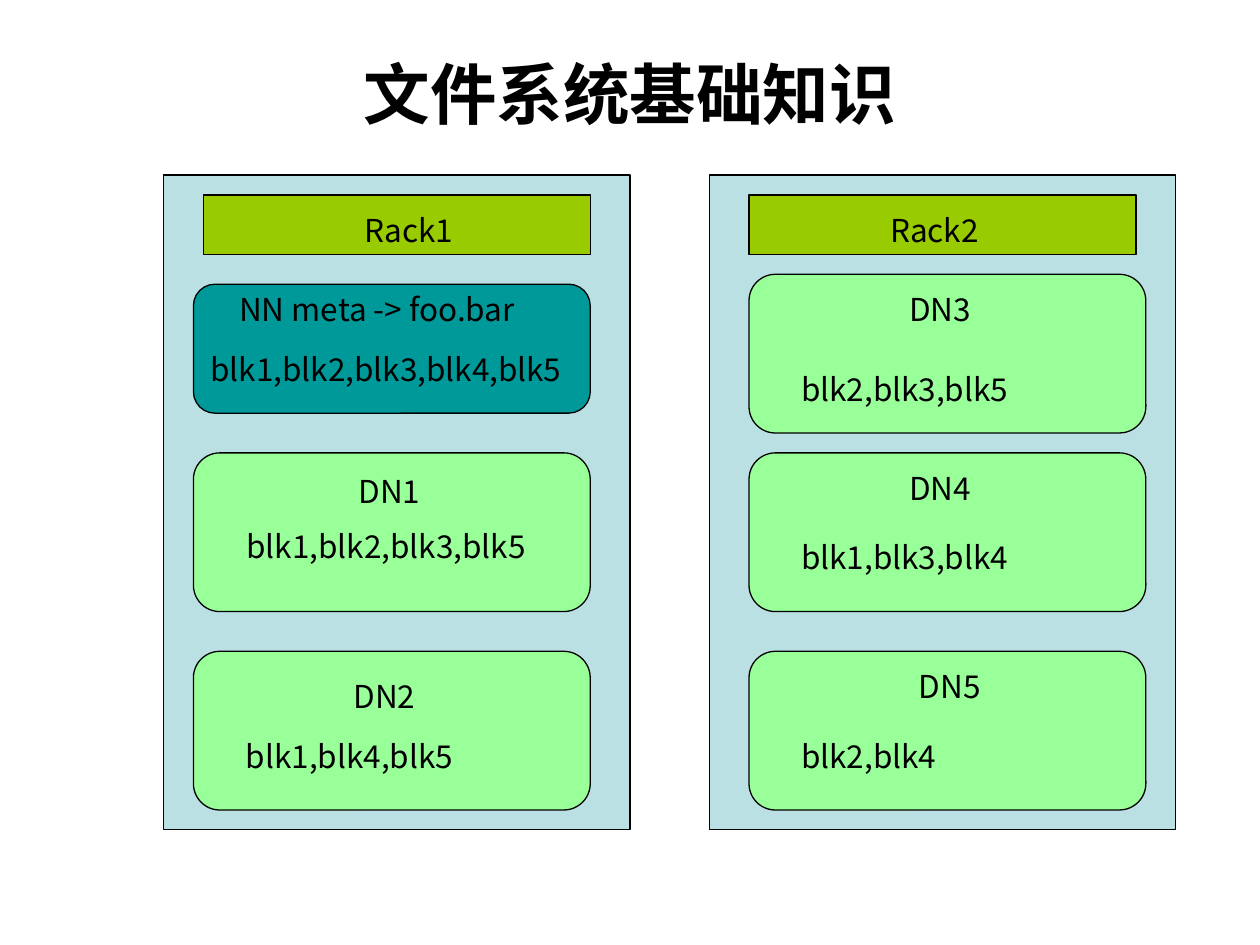
from dataclasses import dataclass

from lxml.etree import SubElement
from pptx import Presentation
from pptx.dml.color import RGBColor as Rgb
from pptx.enum.shapes import MSO_SHAPE as Preset
from pptx.enum.text import MSO_ANCHOR as Anchor, MSO_AUTO_SIZE as AutoSize, PP_ALIGN as Align
from pptx.oxml.ns import qn
from pptx.util import Cm, Pt


@dataclass(frozen=True)
class Theme:
    font: str = "Noto Sans CJK SC"
    ink: Rgb = Rgb(0, 0, 0)
    rack: Rgb = Rgb(0xBB, 0xE0, 0xE3)
    header: Rgb = Rgb(0x99, 0xCC, 0x00)
    meta_node: Rgb = Rgb(0x00, 0x99, 0x99)
    data_node: Rgb = Rgb(0x99, 0xFF, 0x99)
    title_size: Pt = Pt(38)
    body_size: Pt = Pt(18)
    outline: Pt = Pt(0.75)


THEME = Theme()
NODE_WIDTH = 8
RACK_TOP, RACK_WIDTH, RACK_HEIGHT = 3.53, 9.4, 13.2


@dataclass(frozen=True)
class Node:
    label: str
    blocks: str
    top: float
    label_at: tuple
    blocks_at: tuple
    height: float = 3.2
    label_width: float = 4.5
    blocks_width: float = 6.58
    blocks_align: Align = Align.LEFT
    fill: Rgb = THEME.data_node


RACKS = [
    dict(name="Rack1", left=3.3, name_left=3.2, node_left=0.6, nodes=[
        Node("NN meta -> foo.bar", "blk1,blk2,blk3,blk4,blk5", 2.2, (-0.2, 0), (0, 1.2),
             2.6, 7.8, 7.77, Align.CENTER, THEME.meta_node),
        Node("DN1", "blk1,blk2,blk3,blk5", 5.6, (1.7, 0.26), (0.82, 1.37)),
        Node("DN2", "blk1,blk4,blk5", 9.6, (1.6, 0.4), (0.81, 1.6)),
    ]),
    dict(name="Rack2", left=14.3, name_left=2.79, node_left=0.8, nodes=[
        Node("DN3", "blk2,blk3,blk5", 2, (1.6, 0.2), (0.8, 1.8)),
        Node("DN4", "blk1,blk3,blk4", 5.6, (1.6, 0.2), (0.8, 1.6)),
        Node("DN5", "blk2,blk4", 9.6, (1.8, 0.2), (0.8, 1.6)),
    ]),
]


def apply(target, formats):
    for name, value in formats.items():
        setattr(target, name, value)


def write(frame, wording, size, align, bold=False):
    paragraph = frame.paragraphs[0]
    paragraph.alignment = align
    run = paragraph.add_run()
    run.text = wording
    apply(run.font, dict(size=size, bold=bold, name=THEME.font))
    run.font.color.rgb = THEME.ink
    SubElement(run.font._element, qn("a:ea"), typeface=THEME.font)


def add_panel(slide, preset, left, top, width, height, fill):
    panel = slide.shapes.add_shape(preset, Cm(left), Cm(top), Cm(width), Cm(height))
    panel.shadow.inherit = False
    panel.fill.solid()
    panel.fill.fore_color.rgb = fill
    panel.line.color.rgb = THEME.ink
    panel.line.width = THEME.outline


def add_caption(slide, wording, left, top, width, align=Align.CENTER):
    caption = slide.shapes.add_textbox(Cm(left), Cm(top), Cm(width), Cm(1.02))
    apply(caption.text_frame, dict(word_wrap=True, auto_size=AutoSize.SHAPE_TO_FIT_TEXT))
    write(caption.text_frame, wording, THEME.body_size, align)


def add_title(slide, wording, left, top, width, height):
    title = slide.shapes.title
    apply(title, dict(left=Cm(left), top=Cm(top), width=Cm(width), height=Cm(height)))
    apply(title.text_frame, dict(auto_size=AutoSize.NONE, vertical_anchor=Anchor.MIDDLE))
    write(title.text_frame, wording, THEME.title_size, Align.CENTER, bold=True)


def add_node(slide, node, left, top):
    add_panel(slide, Preset.ROUNDED_RECTANGLE, left, top, NODE_WIDTH, node.height, node.fill)
    for wording, (dx, dy), width, align in (
        (node.label, node.label_at, node.label_width, Align.CENTER),
        (node.blocks, node.blocks_at, node.blocks_width, node.blocks_align),
    ):
        add_caption(slide, wording, left + dx, top + dy, width, align)


def add_rack(slide, left, top, width, height, name, name_left, node_left, nodes):
    add_panel(slide, Preset.RECTANGLE, left, top, width, height, THEME.rack)
    add_panel(slide, Preset.RECTANGLE, left + 0.8, top + 0.4, 7.8, 1.2, THEME.header)
    add_caption(slide, name, left + name_left, top + 0.6, 3.5)
    for node in nodes:
        add_node(slide, node, left + node_left, top + node.top)


def main():
    deck = Presentation()
    apply(deck, dict(slide_width=Cm(25.4), slide_height=Cm(19.05)))
    slide = deck.slides.add_slide(deck.slide_layouts.get_by_name("Title Only"))
    add_title(slide, "文件系统基础知识", 1.27, 1.17, 22.86, 1.42)
    for rack in RACKS:
        add_rack(slide, top=RACK_TOP, width=RACK_WIDTH, height=RACK_HEIGHT, **rack)
    deck.save("out.pptx")


if __name__ == "__main__":
    main()
